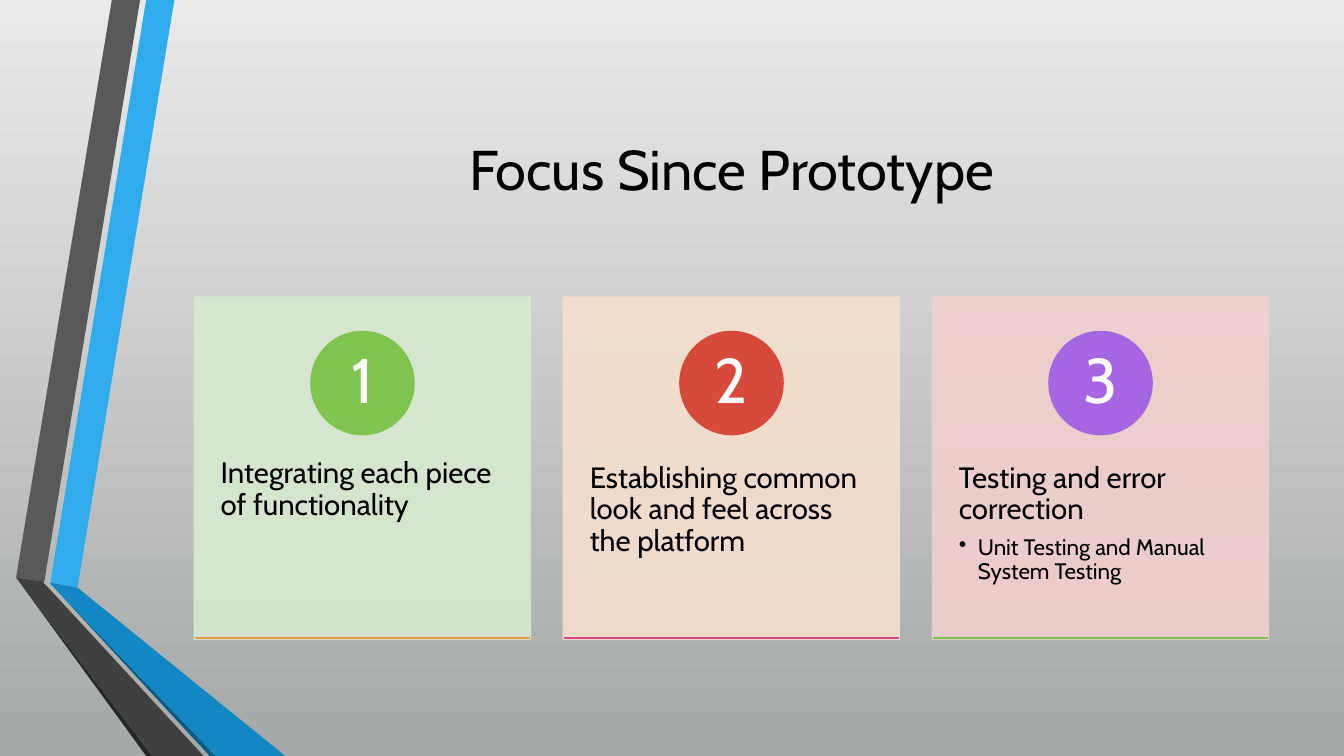
from dataclasses import dataclass

from lxml import etree
from pptx import Presentation
from pptx.dml.color import RGBColor
from pptx.enum.shapes import MSO_CONNECTOR, MSO_SHAPE
from pptx.enum.text import MSO_ANCHOR, PP_ALIGN
from pptx.oxml.ns import qn
from pptx.util import Inches, Pt

RECT, OVAL = MSO_SHAPE.RECTANGLE, MSO_SHAPE.OVAL
STRAIGHT = MSO_CONNECTOR.STRAIGHT
TOP, MIDDLE = MSO_ANCHOR.TOP, MSO_ANCHOR.MIDDLE
LEFT, CENTER = PP_ALIGN.LEFT, PP_ALIGN.CENTER

FONT = "Cabin"
BLACK, WHITE = "000000", "FFFFFF"
BACKGROUND = ("E9EAEB", "A5A8A9")
LINE_WIDTH = 1.25
CARD_LEFT, CARD_TOP, CARD_W, CARD_H, CARD_PITCH = 1.93, 2.95, 3.33, 3.39, 3.66
BADGE_TOP, BADGE_SIZE, NUMBER_SIZE = 3.29, 1.02, 0.72
BODY_TOP, BODY_H = 4.23, 2.03
BULLET_INDENT = 0.19


@dataclass
class Ribbon:
    color: str
    points: list[tuple[float, float]]


@dataclass
class Card:
    text: str
    fill: str
    badge: str
    rule: str
    bullet: str = ""


RIBBONS = [
    Ribbon("30ACEC", [(0.5, 5.78), (0.77, 5.83), (1.73, 0), (1.45, 0)]),
    Ribbon("595959", [(1.39, 0), (1.11, 0), (0.16, 5.73), (0.44, 5.77)]),
    Ribbon("262626", [(0.16, 5.73), (1.45, 7.5), (1.51, 7.5)]),
    Ribbon("0C5A82", [(0.5, 5.79), (2.08, 7.5), (2.14, 7.5)]),
    Ribbon("1287C3", [(0.5, 5.79), (2.14, 7.5), (2.83, 7.5), (0.77, 5.83), (0.5, 5.78)]),
    Ribbon("404040", [(2.02, 7.5), (0.48, 5.83), (0.43, 5.78), (0.44, 5.77),
                      (0.16, 5.73), (1.51, 7.5)]),
]

CARDS = [
    Card("Integrating each piece of functionality", "D8E9D0", "80C34F", "E29D3E"),
    Card("Establishing common look and feel across the platform",
         "F4DFCE", "D64A3B", "D64787"),
    Card("Testing and error correction", "F0D0CE", "A666E1", "80C34F",
         "Unit Testing and Manual System Testing"),
]


def rgb(value: str) -> RGBColor:
    return RGBColor.from_string(value)


def set_background(slide) -> None:
    fill = slide.background.fill
    fill.gradient()
    fill.gradient_angle = 270
    for stop, color in zip(fill.gradient_stops, BACKGROUND):
        stop.color.rgb = rgb(color)


def add_ribbon(slide, ribbon: Ribbon) -> None:
    start, *rest = [(Inches(x), Inches(y)) for x, y in ribbon.points]
    builder = slide.shapes.build_freeform(*start)
    builder.add_line_segments(rest, close=True)
    sp = builder.convert_to_shape()
    sp.shadow.inherit = False
    sp.fill.solid()
    sp.fill.fore_color.rgb = rgb(ribbon.color)
    sp.line.fill.background()


def add_panel(slide, kind, left: float, top: float, width: float, height: float,
              color: str, opacity: int = 100) -> None:
    sp = slide.shapes.add_shape(kind, Inches(left), Inches(top),
                                Inches(width), Inches(height))
    sp.shadow.inherit = False
    sp.line.width = Pt(LINE_WIDTH)
    sp.fill.solid()
    sp.fill.fore_color.rgb = rgb(color)
    sp.line.color.rgb = rgb(color)
    if opacity < 100:
        for clr in sp._element.spPr.iter(qn("a:srgbClr")):
            etree.SubElement(clr, qn("a:alpha"), val=str(opacity * 1000))


def add_rule(slide, left: float, top: float, width: float, color: str) -> None:
    y = Inches(top)
    rule = slide.shapes.add_connector(STRAIGHT, Inches(left), y, Inches(left + width), y)
    rule.line.width = Pt(LINE_WIDTH)
    rule.line.color.rgb = rgb(color)
    etree.SubElement(rule._element.spPr, qn("a:effectLst"))


def add_paragraph(p, text: str, size: float, color: str, align=LEFT) -> None:
    layout = {"alignment": align, "line_spacing": 0.9, "space_after": Pt(size * 0.35)}
    for name, value in layout.items():
        setattr(p, name, value)
    r = p.add_run()
    r.text = text
    for name, value in {"name": FONT, "size": Pt(size)}.items():
        setattr(r.font, name, value)
    r.font.color.rgb = rgb(color)


def add_text(slide, left: float, top: float, width: float, height: float, text: str,
             size: float, color: str = BLACK, align=LEFT, anchor=TOP,
             inset: tuple[float, float] = (0.1, 0.05)):
    sp = slide.shapes.add_textbox(Inches(left), Inches(top), Inches(width), Inches(height))
    tf = sp.text_frame
    side, end = Inches(inset[0]), Inches(inset[1])
    frame = {"word_wrap": True, "vertical_anchor": anchor, "margin_left": side,
             "margin_right": side, "margin_top": end, "margin_bottom": end}
    for name, value in frame.items():
        setattr(tf, name, value)
    add_paragraph(tf.paragraphs[0], text, size, color, align)
    return tf


def add_bullet(tf, text: str) -> None:
    p = tf.add_paragraph()
    add_paragraph(p, text, 16, BLACK)
    p.level = 1
    pPr = p._p.get_or_add_pPr()
    pPr.set("marL", str(Inches(BULLET_INDENT)))
    pPr.set("indent", str(-Inches(BULLET_INDENT)))
    etree.SubElement(pPr, qn("a:buChar"), char="•")


def add_card(slide, index: int, card: Card) -> None:
    left = CARD_LEFT + index * CARD_PITCH
    center = left + CARD_W / 2
    number_top = BADGE_TOP + (BADGE_SIZE - NUMBER_SIZE) / 2
    add_panel(slide, RECT, left, CARD_TOP, CARD_W, CARD_H, card.fill, 90)
    tf = add_text(slide, left, BODY_TOP, CARD_W, BODY_H, card.text, 21, inset=(0.26, 0.36))
    if card.bullet:
        add_bullet(tf, card.bullet)
    add_panel(slide, OVAL, center - BADGE_SIZE / 2, BADGE_TOP,
              BADGE_SIZE, BADGE_SIZE, card.badge)
    add_text(slide, center - NUMBER_SIZE / 2, number_top, NUMBER_SIZE, NUMBER_SIZE,
             str(index + 1), 45, WHITE, CENTER, MIDDLE, (0.08, 0.01))
    add_rule(slide, left, 6.33, CARD_W, card.rule)


def main() -> None:
    prs = Presentation()
    prs.slide_width, prs.slide_height = Inches(13.33), Inches(7.5)
    slide = prs.slides.add_slide(prs.slide_layouts[6])
    set_background(slide)
    for ribbon in RIBBONS:
        add_ribbon(slide, ribbon)
    add_text(slide, CARD_LEFT, 0.75, 10.65, 1.92, "Focus Since Prototype", 40,
             align=CENTER, anchor=MIDDLE)
    for index, card in enumerate(CARDS):
        add_card(slide, index, card)
    prs.save("out.pptx")


if __name__ == "__main__":
    main()
